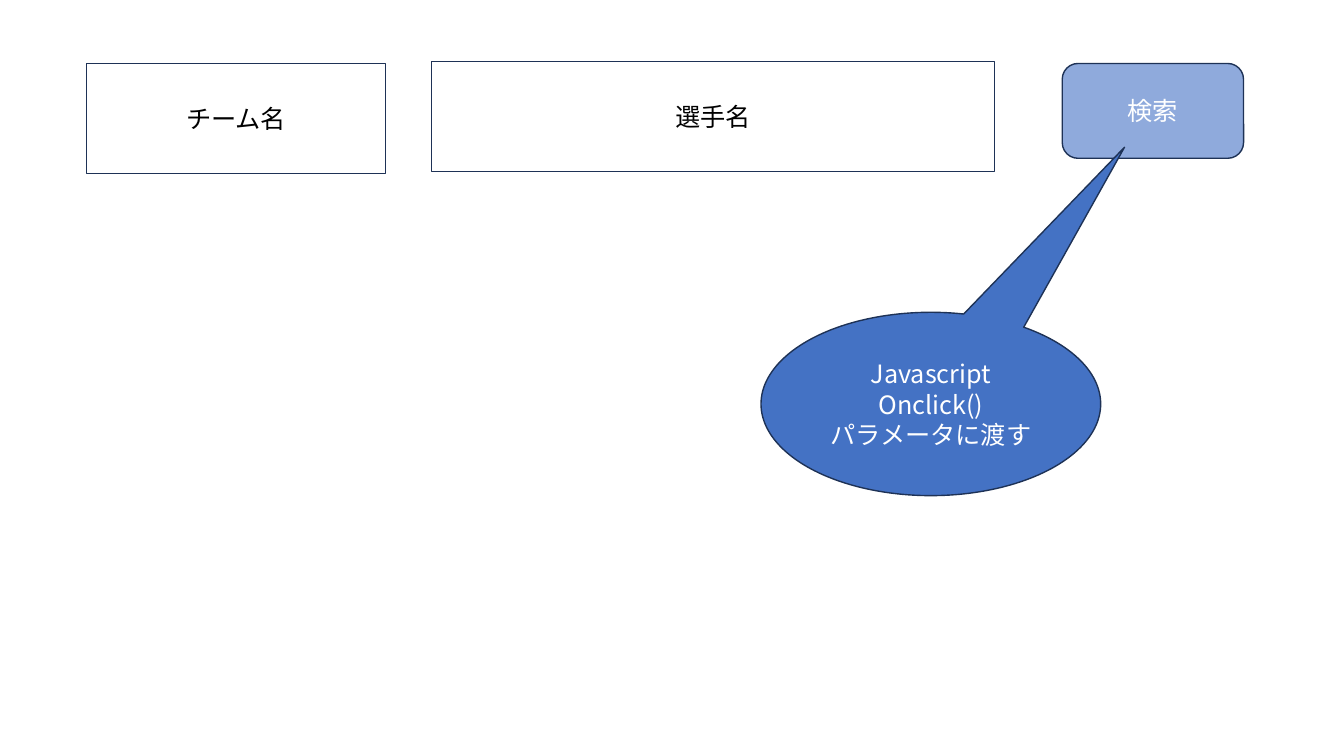
import pptx
import pptx.util
import pptx.dml.color
import pptx.enum.shapes
import pptx.enum.text
import pptx.oxml.ns
from dataclasses import dataclass
from lxml import etree
from pptx.util import Cm


@dataclass
class Theme:
    font: str = "Noto Sans CJK JP"
    size: int = 18
    line: str = "1E3256"
    white: str = "FFFFFF"
    black: str = "000000"
    pale: str = "8FAADC"
    blue: str = "4472C4"


theme = Theme()
rgb = pptx.dml.color.RGBColor.from_string
kind = pptx.enum.shapes.MSO_SHAPE
qn = pptx.oxml.ns.qn

deck = pptx.Presentation()
deck.slide_width, deck.slide_height = Cm(33.87), Cm(19.05)
slide = deck.slides.add_slide(deck.slide_layouts[6])


def add_box(form, left, top, width, height, fill, ink, text):
    """Add an outlined shape with centred text; lengths are in cm."""
    box = slide.shapes.add_shape(form, Cm(left), Cm(top), Cm(width), Cm(height))
    box.shadow.inherit = False
    box.fill.solid()
    box.fill.fore_color.rgb = rgb(fill)
    box.line.color.rgb = rgb(theme.line)
    box.line.width = pptx.util.Pt(1)
    frame = box.text_frame
    frame.word_wrap = True
    frame.vertical_anchor = pptx.enum.text.MSO_ANCHOR.MIDDLE
    frame.text = text
    for para in frame.paragraphs:
        para.alignment = pptx.enum.text.PP_ALIGN.CENTER
        para.font.name = theme.font
        para.font.size = pptx.util.Pt(theme.size)
        para.font.color.rgb = rgb(ink)
    # Japanese glyphs take their font from a:ea
    for props in box.element.iter(qn("a:defRPr")):
        etree.SubElement(props, qn("a:ea"), typeface=theme.font)
    return box


# Search form: two fields and a button
add_box(kind.RECTANGLE, 10.87, 1.55, 14.2, 2.77, theme.white, theme.black, "選手名")
add_box(kind.ROUNDED_RECTANGLE, 26.77, 1.6, 4.57, 2.39, theme.pale, theme.white, "検索")
add_box(kind.RECTANGLE, 2.18, 1.6, 7.54, 2.77, theme.white, theme.black, "チーム名")

# Callout whose tip points at the button
note = add_box(kind.OVAL_CALLOUT, 19.18, 7.87, 8.56, 4.62, theme.blue, theme.white,
               "Javascript\nOnclick()\nパラメータに渡す")
note.adjustments[0] = 0.57
note.adjustments[1] = -1.4

deck.save("out.pptx")
